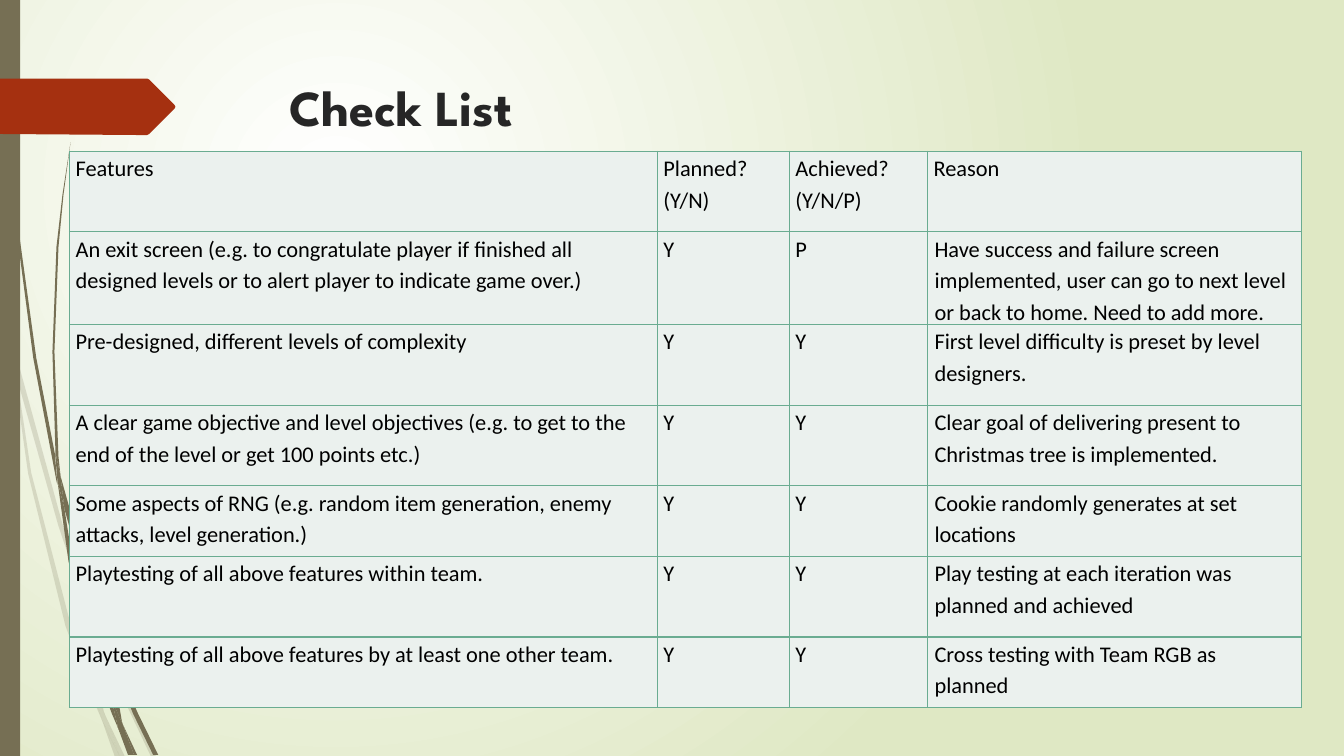
"""Builds the Check List slide: a feature table beside a wisp of grass."""
from lxml.etree import SubElement as Sub
from pptx import Presentation
from pptx.dml.color import RGBColor as RGB
from pptx.enum.shapes import MSO_SHAPE as SHAPE
from pptx.oxml.ns import qn
from pptx.util import Inches, Pt

COLORS = {"white": "FFFFFF", "lime": "DFE8C4", "grass": "766F54", "arrow": "A53010",
          "title": "262626", "text": "000000", "cell": "EBF1EE", "line": "6AAC91"}

PALE = [
    [(11, 350), (9, 322), (0, 282), (0, 299), (10, 344)],
    [(58, 522), (84, 599), (85, 586), (62, 520), (14, 345), (17, 376)],
    [(92, 607), (88, 596), (88, 610), (123, 694), (150, 751), (155, 751), (127, 692)],
    [(119, 751), (124, 751), (105, 711)],
    [(93, 683), (70, 619), (31, 469), (17, 376), (11, 350), (28, 470), (65, 621),
     (92, 693), (101, 714), (99, 707)],
    [(84, 599), (87, 646), (93, 683), (96, 692), (105, 711), (103, 706), (91, 646),
     (88, 610), (88, 608)],
    [(88, 584), (110, 462), (160, 349), (229, 245), (268, 198), (290, 175), (312, 154),
     (312, 153), (289, 175), (268, 197), (228, 244), (158, 348), (107, 461), (85, 584),
     (85, 586), (88, 596)],
    [(101, 714), (114, 751), (119, 751)],
    [(88, 608), (88, 610), (88, 596), (85, 586), (84, 599)],
    [(96, 692), (93, 683), (99, 707), (101, 714), (119, 751), (105, 711)],
]
DARK = [
    [(7, 110), (17, 233), (33, 355), (56, 477), (57, 481), (55, 457), (55, 453),
     (36, 355), (19, 232), (8, 109), (5, 48), (4, 0), (3, 0), (4, 48)],
    [(88, 592), (106, 645), (106, 633), (106, 631), (93, 590), (60, 472), (64, 505)],
    [(113, 649), (110, 641), (111, 656), (132, 708), (152, 749), (157, 749), (136, 706)],
    [(110, 691), (98, 657), (72, 556), (64, 505), (57, 477), (68, 557), (93, 659),
     (111, 708), (117, 722), (116, 717)],
    [(60, 472), (58, 453), (54, 349), (58, 245), (63, 193), (70, 141), (62, 193),
     (56, 245), (52, 349), (55, 449)],
    [(133, 749), (136, 749), (122, 719)],
    [(57, 477), (64, 505), (60, 472), (55, 449), (55, 453)],
    [(111, 633), (125, 552), (158, 476), (205, 406), (231, 374), (245, 359), (261, 344),
     (260, 344), (245, 358), (231, 373), (204, 405), (156, 474), (122, 551), (106, 631),
     (110, 641)],
    [(117, 722), (127, 749), (131, 749)],
    [(106, 645), (110, 691), (116, 706), (122, 719), (121, 716), (111, 656), (109, 651)],
    [(106, 645), (109, 651), (111, 656), (110, 641), (106, 631), (106, 633)],
    [(116, 706), (110, 691), (116, 717), (117, 722), (130, 749), (133, 749), (122, 719)],
]
ARROW = [(173, 108), (148, 133), (146, 134), (136, 134), (0, 133), (0, 78), (146, 78),
         (148, 79), (173, 104), (174, 106)]
WIDTHS = [5.83, 1.31, 1.37, 3.71]
HEIGHTS = [0.8, 0.8, 0.8, 0.8, 0.7, 0.8, 0.7]
ROWS = [
    ("Features", "Planned? (Y/N)", "Achieved? (Y/N/P)", "Reason"),
    ("An exit screen (e.g. to congratulate player if finished all designed levels "
     "or to alert player to indicate game over.)", "Y", "P",
     "Have success and failure screen implemented, user can go to next level "
     "or back to home. Need to add more."),
    ("Pre-designed, different levels of complexity", "Y", "Y",
     "First level difficulty is preset by level designers."),
    ("A clear game objective and level objectives (e.g. to get to the end of the level "
     "or get 100 points etc.)", "Y", "Y",
     "Clear goal of delivering present to Christmas tree is implemented."),
    ("Some aspects of RNG (e.g. random item generation, enemy attacks, level generation.)",
     "Y", "Y", "Cookie randomly generates at set locations"),
    ("Playtesting of all above features within team.", "Y", "Y",
     "Play testing at each iteration was planned and achieved"),
    ("Playtesting of all above features by at least one other team.", "Y", "Y",
     "Cross testing with Team RGB as planned"),
]


def paint(shape, name):
    shape.shadow.inherit = False
    shape.fill.solid()
    shape.fill.fore_color.rgb = RGB.from_string(COLORS[name])
    shape.line.fill.background()


def outline(shapes, points, name):
    pen = shapes.build_freeform(*points[0], scale=Inches(0.01))
    pen.add_line_segments(points[1:], close=True)
    shape = pen.convert_to_shape()
    paint(shape, name)
    return shape


deck = Presentation()
deck.slide_width, deck.slide_height = Inches(13.33), Inches(7.5)
slide = deck.slides.add_slide(deck.slide_layouts[6])

fill = slide.background.fill
fill.gradient()
for stop, name in zip(fill.gradient_stops, ("white", "lime")):
    stop.color.rgb = RGB.from_string(COLORS[name])
grad = next(slide.element.iter(qn("a:gradFill")))
grad.remove(grad.find(qn("a:lin")))
glow = Sub(grad, qn("a:path"), {"path": "circle"})
Sub(glow, qn("a:fillToRect"), l="50000", t="50000", r="100000", b="100000")

for blades, alpha in ((PALE, 20), (DARK, 100)):
    group = slide.shapes.add_group_shape()
    for blade in blades:
        shape = outline(group.shapes, blade, "grass")
        if alpha < 100:
            color = next(shape.element.iter(qn("a:srgbClr")))
            Sub(color, qn("a:alpha"), val=str(alpha * 1000))

bar = slide.shapes.add_shape(SHAPE.RECTANGLE, 0, 0, Inches(0.2), deck.slide_height)
paint(bar, "grass")
outline(slide.shapes, ARROW, "arrow")

title = slide.shapes.add_textbox(Inches(2.77), Inches(0.71), Inches(9.75), Inches(1.4))
title.text_frame.word_wrap = True
para = title.text_frame.paragraphs[0]
para.text = "Check List"
font = para.font
font.name, font.size, font.bold = "League Spartan", Pt(36), True
font.color.rgb = RGB.from_string(COLORS["title"])

table = slide.shapes.add_table(len(ROWS), len(WIDTHS), Inches(0.69), Inches(1.5),
                               Inches(sum(WIDTHS)), Inches(sum(HEIGHTS))).table
for col, width in zip(table.columns, WIDTHS):
    col.width = Inches(width)
for r, (texts, height) in enumerate(zip(ROWS, HEIGHTS)):
    table.rows[r].height = Inches(height)
    for c, text in enumerate(texts):
        cell = table.cell(r, c)
        cell.text = text
        cell.margin_left = cell.margin_right = Inches(0.07 if r and c == 3 else 0.06)
        cell.margin_top = cell.margin_bottom = 0
        para = cell.text_frame.paragraphs[0]
        para.line_spacing = 1.15
        font = para.font
        font.name, font.size, font.bold = "Calibri", Pt(16), False
        font.color.rgb = RGB.from_string(COLORS["text"])
        props = cell._tc.get_or_add_tcPr()
        for side in "LRTB":
            edge = Sub(props, qn(f"a:ln{side}"), w=str(Pt(1)))
            Sub(Sub(edge, qn("a:solidFill")), qn("a:srgbClr"), val=COLORS["line"])
        cell.fill.solid()
        cell.fill.fore_color.rgb = RGB.from_string(COLORS["cell"])

deck.save("out.pptx")
